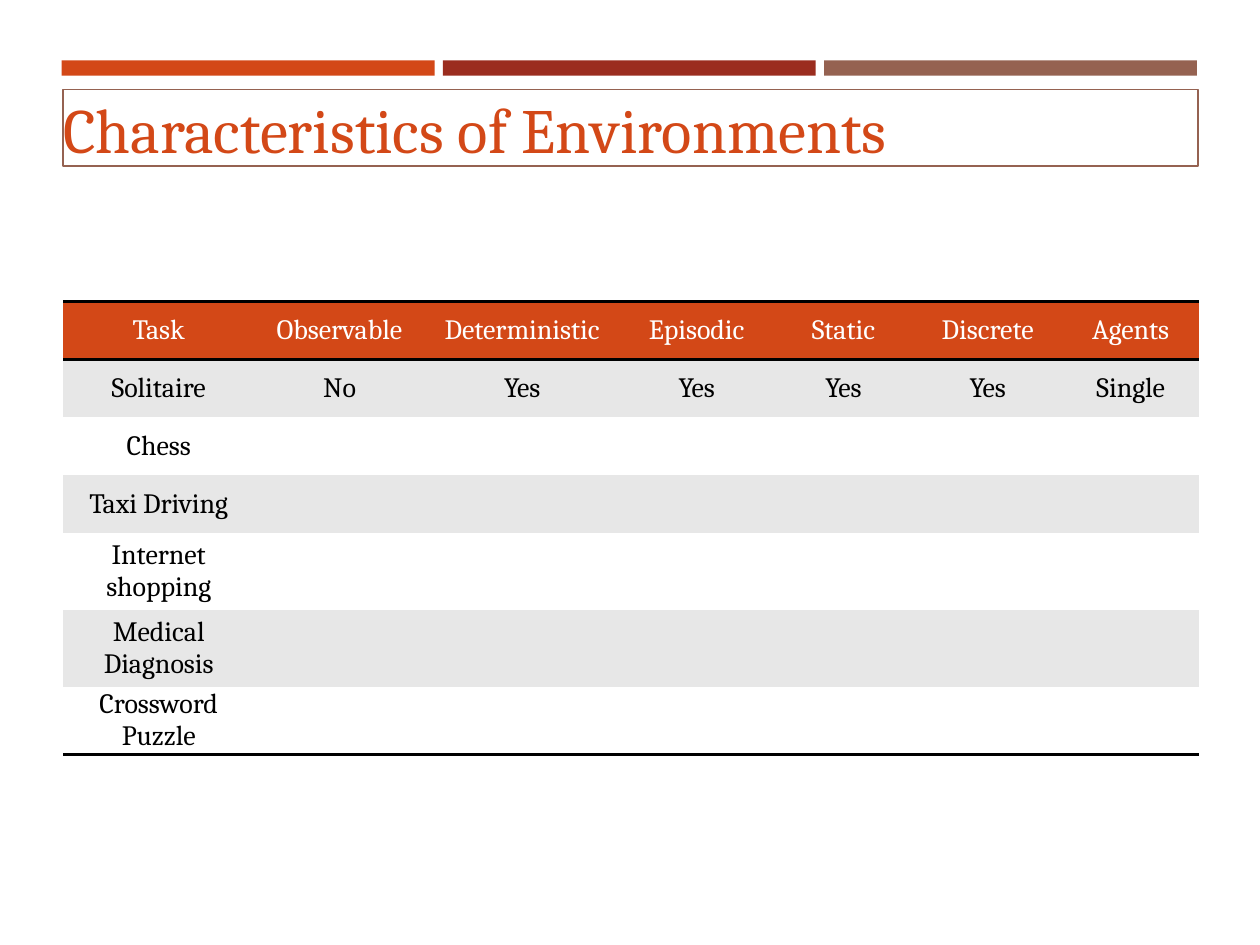
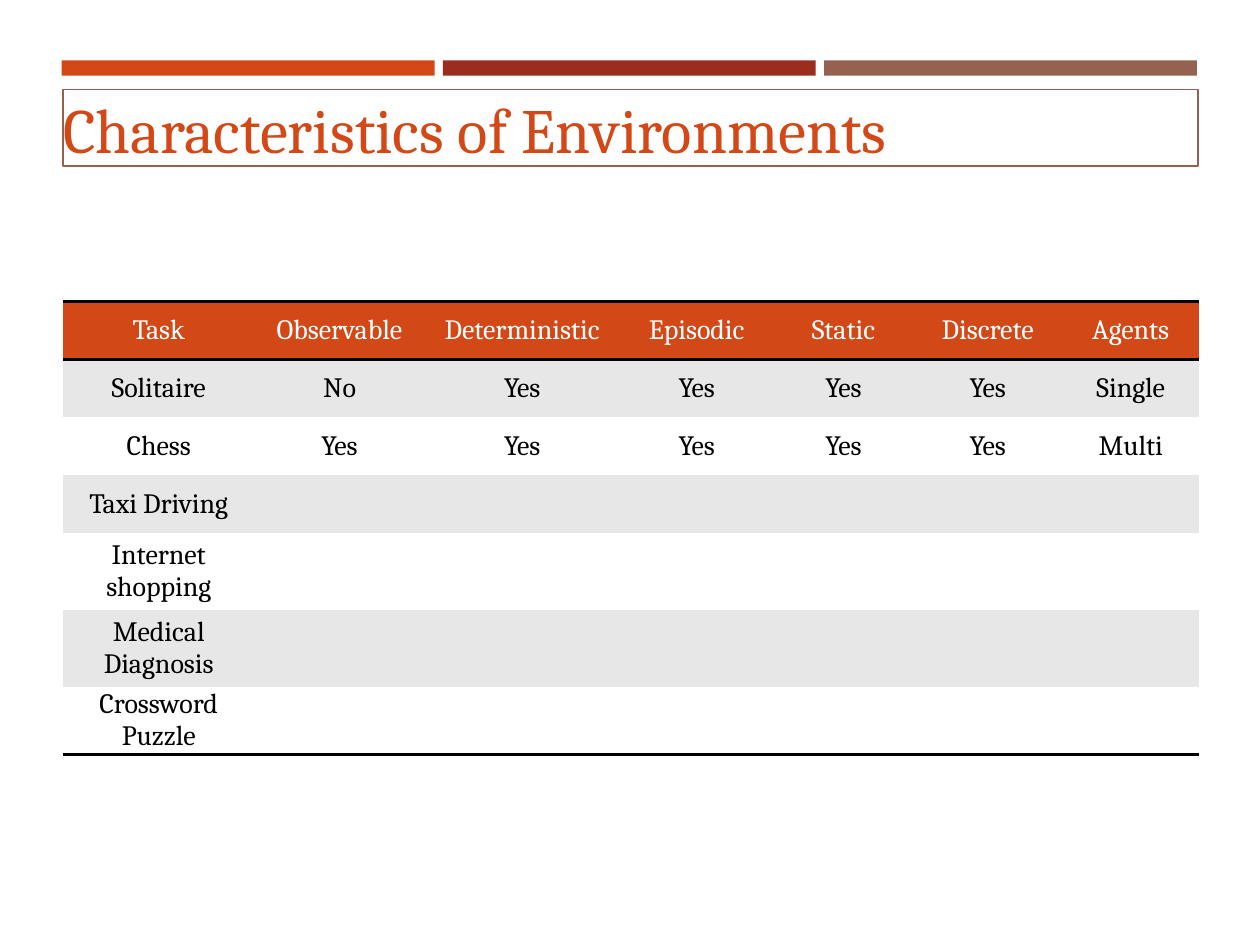
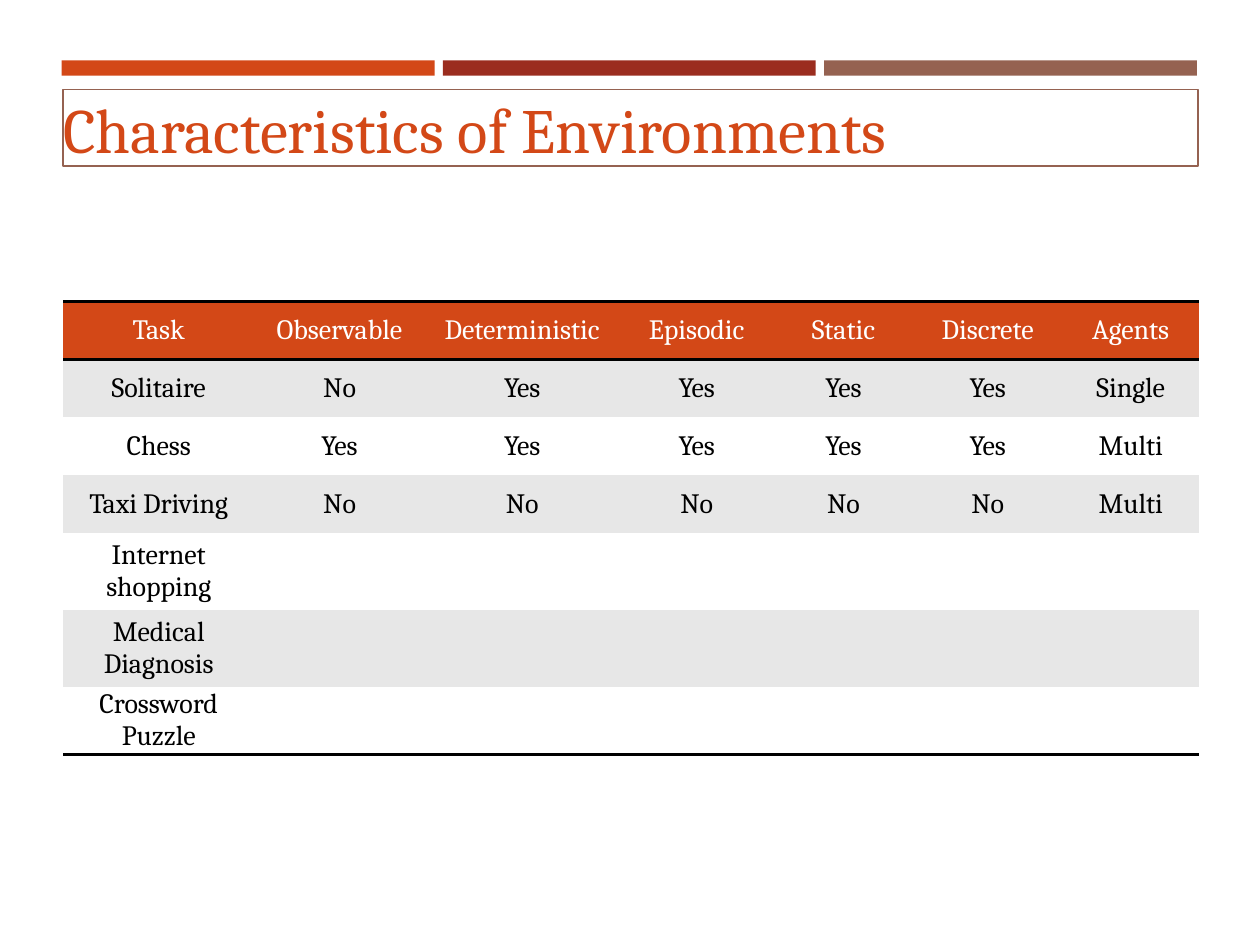
from lxml.etree import SubElement
from pptx import Presentation
from pptx.dml.color import RGBColor
from pptx.enum.shapes import MSO_SHAPE
from pptx.enum.text import MSO_ANCHOR, MSO_AUTO_SIZE, PP_ALIGN
from pptx.oxml.ns import qn
from pptx.util import Inches, Pt

COLORS = {
    "orange": "D34817",
    "red": "9B2D1F",
    "brown": "956251",
    "gray": "E7E7E7",
    "white": "FFFFFF",
    "black": "000000",
}
FONT = "Cambria"
TITLE = "Characteristics of Environments"
HEADERS = ["Task", "Observable", "Deterministic", "Episodic", "Static", "Discrete", "Agents"]
TASKS = ["Solitaire", "Chess", "Taxi Driving", "Internet shopping", "Medical Diagnosis", "Crossword Puzzle"]
ANSWERS = [
    ["No", "Yes", "Yes", "Yes", "Yes", "Single"],
    ["Yes", "Yes", "Yes", "Yes", "Yes", "Multi"],
    ["No", "No", "No", "No", "No", "Multi"],
]
ANSWERED_TASKS = [1, 2, 3]

BANDS = ["orange", "red", "brown"]
BAND_LEFT, BAND_RIGHT, BAND_WIDTH = 0.49, 9.5, 2.96
CONTENT_LEFT, CONTENT_WIDTH = 0.5, 9.01
COLUMN_WIDTHS = [1.52, 1.35, 1.55, 1.22, 1.11, 1.18, 1.09]
ROW_HEIGHTS = [0.46, 0.46, 0.46, 0.46, 0.61, 0.61, 0.54]
PLAIN_TABLE_STYLE = "{2D5ABB26-0587-4C30-8999-92F81FD0307C}"


def color(name):
    return RGBColor.from_string(COLORS[name])


def set_font(paragraph, size, color_name):
    paragraph.font.name = FONT
    paragraph.font.size = Pt(size)
    paragraph.font.color.rgb = color(color_name)


def clear_margins(item):
    item.margin_left = item.margin_right = item.margin_top = item.margin_bottom = 0


def add_rectangle(slide, left, top, width, height):
    shape = slide.shapes.add_shape(
        MSO_SHAPE.RECTANGLE, Inches(left), Inches(top), Inches(width), Inches(height))
    shape.shadow.inherit = False
    return shape


def add_bands(slide):
    pitch = (BAND_RIGHT - BAND_LEFT - BAND_WIDTH) / (len(BANDS) - 1)
    for index, name in enumerate(BANDS):
        band = add_rectangle(slide, BAND_LEFT + index * pitch, 0.48, BAND_WIDTH, 0.12)
        band.fill.solid()
        band.fill.fore_color.rgb = color(name)
        band.line.fill.background()


def add_title(slide):
    title = add_rectangle(slide, CONTENT_LEFT, 0.71, CONTENT_WIDTH, 0.61)
    title.fill.background()
    title.line.color.rgb = color("brown")
    title.line.width = Pt(1)
    frame = title.text_frame
    frame.word_wrap = True
    frame.auto_size = MSO_AUTO_SIZE.SHAPE_TO_FIT_TEXT
    frame.vertical_anchor = MSO_ANCHOR.MIDDLE
    clear_margins(frame)
    paragraph = frame.paragraphs[0]
    paragraph.text = TITLE
    paragraph.alignment = PP_ALIGN.LEFT
    set_font(paragraph, 36, "orange")


def add_border(cell, side):
    border = SubElement(cell._tc.get_or_add_tcPr(), qn(f"a:{side}"), w=str(Pt(2)))
    fill = SubElement(border, qn("a:solidFill"))
    SubElement(fill, qn("a:srgbClr"), val=COLORS["black"])


def style_cell(cell, row, last_row):
    sides = {0: ["lnT", "lnB"], last_row: ["lnB"]}.get(row, [])
    for side in sides:
        add_border(cell, side)
    cell.fill.solid()
    cell.fill.fore_color.rgb = color("orange" if row == 0 else "gray" if row % 2 else "white")
    cell.vertical_anchor = MSO_ANCHOR.MIDDLE
    clear_margins(cell)
    paragraph = cell.text_frame.paragraphs[0]
    paragraph.alignment = PP_ALIGN.CENTER
    set_font(paragraph, 16, "white" if row == 0 else "black")


def add_task_table(slide, answered):
    blank = [""] * (len(HEADERS) - 1)
    rows = [HEADERS] + [
        [task] + (ANSWERS[index] if index < answered else blank)
        for index, task in enumerate(TASKS)
    ]
    table = slide.shapes.add_table(
        len(rows), len(HEADERS), Inches(CONTENT_LEFT), Inches(2.39),
        Inches(CONTENT_WIDTH), Inches(sum(ROW_HEIGHTS))).table
    table.first_row = table.horz_banding = False
    table._tbl.tblPr.find(qn("a:tableStyleId")).text = PLAIN_TABLE_STYLE
    for column, width in zip(table.columns, COLUMN_WIDTHS):
        column.width = Inches(width)
    for row, (texts, height) in enumerate(zip(rows, ROW_HEIGHTS)):
        table.rows[row].height = Inches(height)
        for column, text in enumerate(texts):
            cell = table.cell(row, column)
            if text:
                cell.text = text
            style_cell(cell, row, len(rows) - 1)


def main():
    presentation = Presentation()
    presentation.slide_width = Inches(10)
    presentation.slide_height = Inches(7.5)
    for answered in ANSWERED_TASKS:
        slide = presentation.slides.add_slide(presentation.slide_layouts[6])
        add_bands(slide)
        add_title(slide)
        add_task_table(slide, answered)
    presentation.save("out.pptx")


if __name__ == "__main__":
    main()
